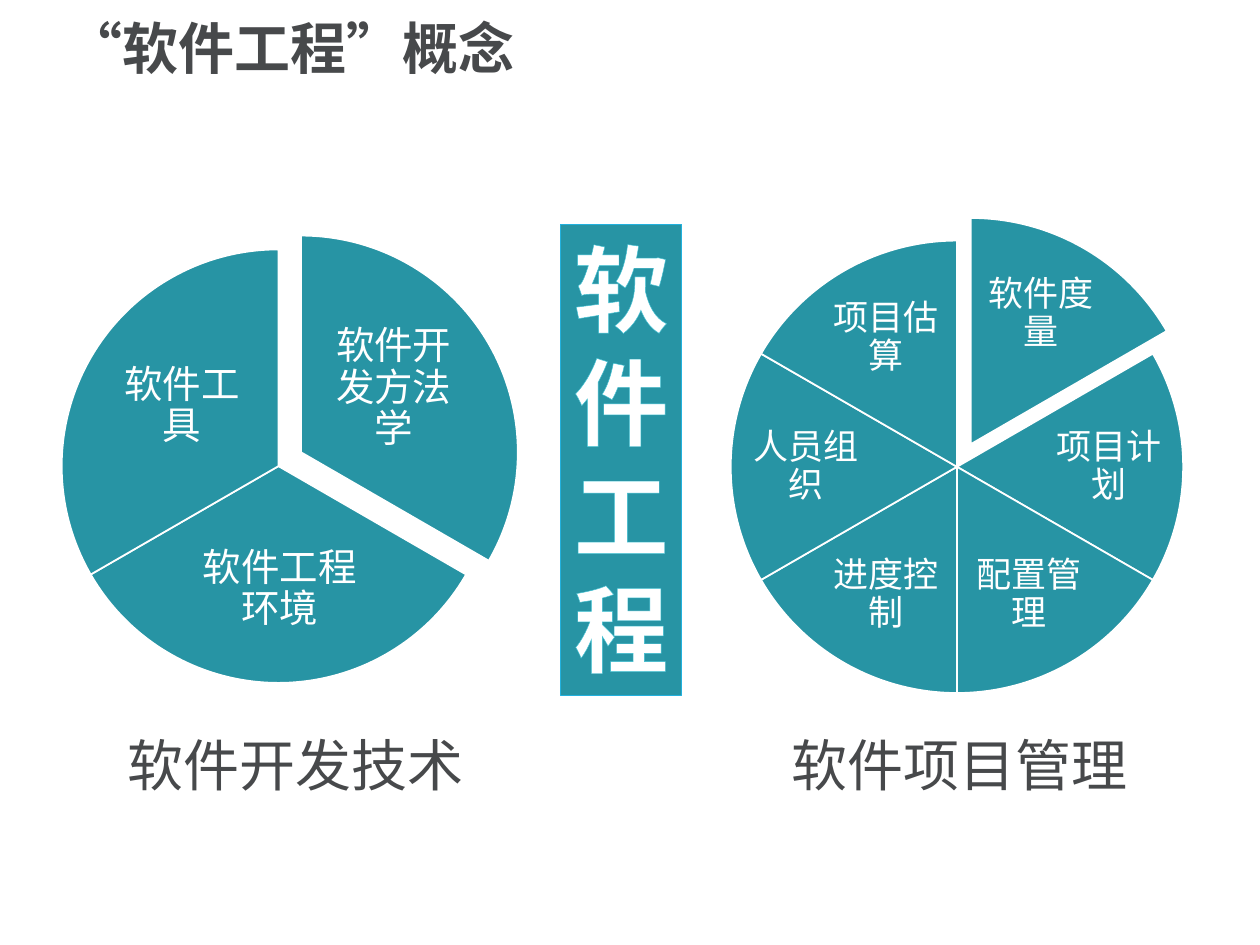
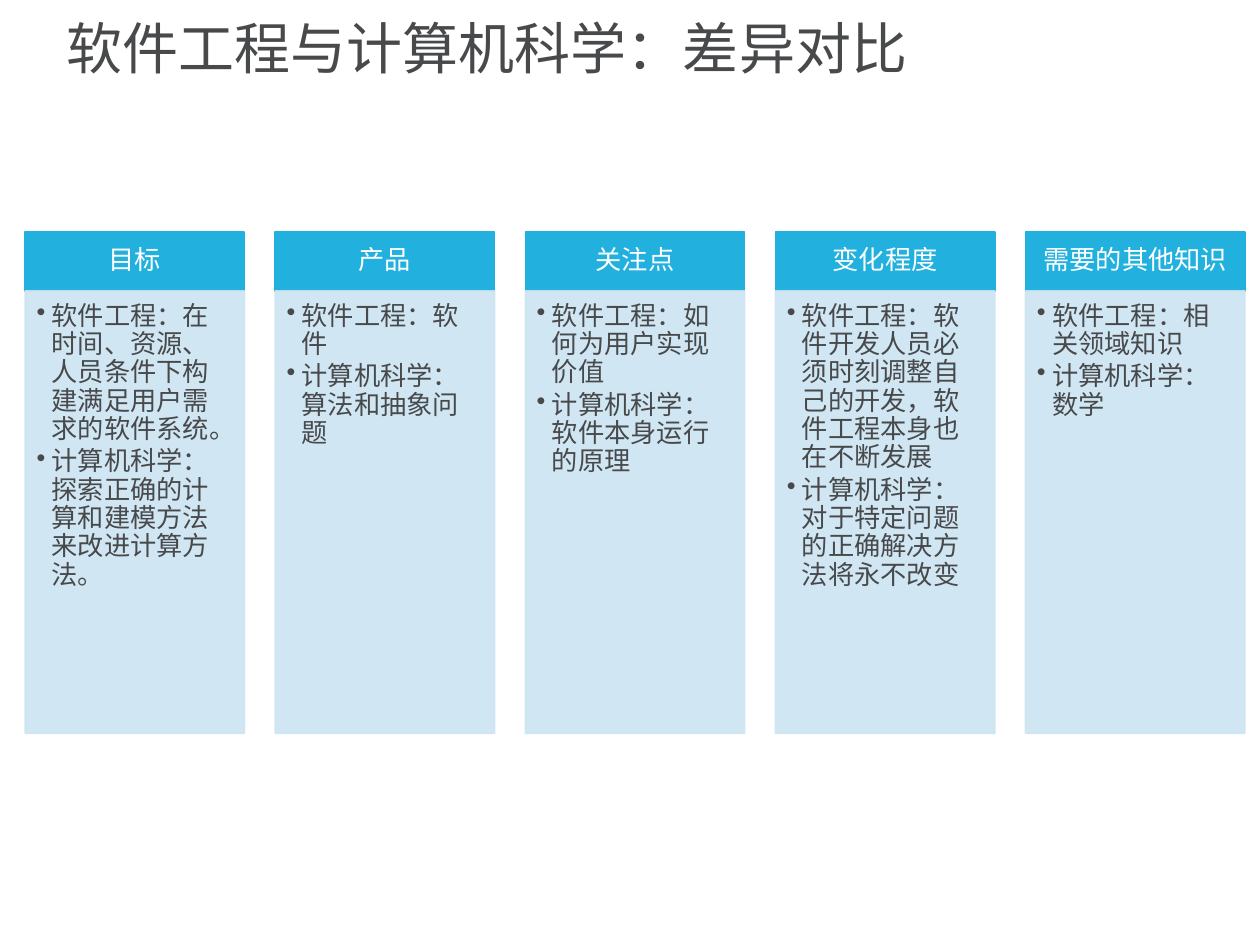
from lxml.etree import SubElement
from pptx import Presentation
from pptx.dml.color import RGBColor
from pptx.enum.shapes import MSO_SHAPE
from pptx.enum.text import MSO_ANCHOR, PP_ALIGN
from pptx.oxml.ns import qn
from pptx.util import Inches, Pt

TEAL, SKY, PALE, AQUA = "2794A4", "22B1DE", "CDE4F2", "3DBFD1"
INK, WHITE = "47494B", "FFFFFF"
HEADING_FONT, LABEL_FONT, CAPTION_FONT = "Noto Sans CJK SC", "Calibri", "DejaVu Sans"
TITLE_BOX = (0.43, 0.06, 9.05, 0.7)
DEFAULT_INSETS = (0.1, 0.05, 0.1, 0.05)
FULL_TURN, TOP_ANGLE = 216, 162

TECHNOLOGY_SLICES = [
    ("软件开发方法学", (2.05, 0.53, 1.17, 1.15)),
    ("软件工程环境", (0.95, 2.17, 1.56, 1.06)),
    ("软件工具", (0.37, 0.67, 1.17, 1.15)),
]
MANAGEMENT_SLICES = [
    ("软件度量", (1.94, 0.2, 1.05, 0.77)),
    ("项目计划", (2.46, 1.43, 1.08, 0.73)),
    ("配置管理", (1.84, 2.43, 1.05, 0.77)),
    ("进度控制", (0.71, 2.43, 1.05, 0.77)),
    ("人员组织", (0.06, 1.43, 1.08, 0.73)),
    ("项目估算", (0.71, 0.39, 1.05, 0.77)),
]
COMPARISON = [
    ("目标", ["软件工程：在时间、资源、人员条件下构建满足用户需求的软件系统。",
            "计算机科学：探索正确的计算和建模方法来改进计算方法。"]),
    ("产品", ["软件工程：软件", "计算机科学：算法和抽象问题"]),
    ("关注点", ["软件工程：如何为用户实现价值", "计算机科学：软件本身运行的原理"]),
    ("变化程度", ["软件工程：软件开发人员必须时刻调整自己的开发，软件工程本身也在不断发展",
              "计算机科学：对于特定问题的正确解决方法将永不改变"]),
    ("需要的其他知识", ["软件工程：相关领域知识", "计算机科学：数学"]),
]


def color(value):
    """Turn a hex string into a colour."""
    return RGBColor.from_string(value)


def inches(box):
    """Turn a box of plain numbers into lengths."""
    return [Inches(value) for value in box]


def apply(target, values):
    """Set each named attribute on the target."""
    for name, value in values.items():
        setattr(target, name, value)


def write(shape, lines, size, font, ink, insets=DEFAULT_INSETS, anchor=MSO_ANCHOR.TOP,
          bold=False, wrap=True, bullet=False, **paragraph_format):
    """Fill a shape with formatted paragraphs."""
    frame = shape.text_frame
    left, top, right, bottom = inches(insets)
    apply(frame, {"margin_left": left, "margin_top": top, "margin_right": right,
                  "margin_bottom": bottom, "vertical_anchor": anchor, "word_wrap": wrap})
    for index, line in enumerate(lines):
        paragraph = frame.add_paragraph() if index else frame.paragraphs[0]
        apply(paragraph, paragraph_format)
        if bullet:
            add_bullet(paragraph)
        run = paragraph.add_run()
        run.text = line
        apply(run.font, {"size": Pt(size), "name": font, "bold": bold})
        run.font.color.rgb = color(ink)
        SubElement(run.font._element, qn("a:ea"), typeface=font)


def add_bullet(paragraph):
    """Give a paragraph a round bullet and a hanging indent."""
    properties = paragraph._p.get_or_add_pPr()
    properties.set("marL", str(Inches(0.12)))
    properties.set("indent", str(-Inches(0.12)))
    SubElement(properties, qn("a:buChar"), char="•")


def add_text(slide, box, lines, size, font, ink, **options):
    """Add a text box."""
    write(slide.shapes.add_textbox(*inches(box)), lines, size, font, ink, **options)


def add_block(slide, kind, box, fill, line, line_width=1, opacity=100):
    """Add a filled and outlined shape."""
    shape = slide.shapes.add_shape(kind, *inches(box))
    shape.shadow.inherit = False
    shape.fill.solid()
    shape.fill.fore_color.rgb = color(fill)
    shape.line.color.rgb = color(line)
    shape.line.width = Pt(line_width)
    if opacity < 100:
        for element in shape._element.spPr.iter(qn("a:srgbClr")):
            SubElement(element, qn("a:alpha"), val=str(opacity * 1000))
    return shape


def add_titled_slide(presentation, title, bold=False):
    """Add a title-only slide with the shared title style."""
    slide = presentation.slides.add_slide(presentation.slide_layouts[5])
    placeholder = slide.shapes.title
    apply(placeholder, dict(zip(("left", "top", "width", "height"), inches(TITLE_BOX))))
    write(placeholder, [title], 32, HEADING_FONT, INK, anchor=MSO_ANCHOR.MIDDLE,
          bold=bold, alignment=PP_ALIGN.LEFT, line_spacing=0.9)
    return slide


def add_pie(slide, left, top, diameter, shift, slices, size):
    """Draw equal slices clockwise from the top, the first one pulled out."""
    step = FULL_TURN / len(slices)
    for index in range(len(slices)):
        across, up = (0, 0) if index else shift
        pie = add_block(slide, MSO_SHAPE.PIE, (left + across, top - up, diameter, diameter),
                        TEAL, WHITE)
        start = TOP_ANGLE + index * step
        pie.adjustments[0] = start % FULL_TURN
        pie.adjustments[1] = (start + step) % FULL_TURN
    for label, (x, y, width, height) in slices:
        add_text(slide, (left + x, top + y, width, height), [label], size, LABEL_FONT, WHITE,
                 insets=(0.03,) * 4, anchor=MSO_ANCHOR.MIDDLE,
                 alignment=PP_ALIGN.CENTER, line_spacing=0.9)


def add_banner(slide, box, text):
    """Draw the upright banner with one outlined character a line."""
    banner = add_block(slide, MSO_SHAPE.RECTANGLE, box, TEAL, SKY, 0.75)
    write(banner, text, 54, CAPTION_FONT, WHITE, bold=True, wrap=False,
          alignment=PP_ALIGN.CENTER)
    for paragraph in banner.text_frame.paragraphs:
        properties = paragraph.runs[0].font._element
        outline = SubElement(properties, qn("a:ln"), w=str(Pt(0.8)))
        SubElement(SubElement(outline, qn("a:solidFill")), qn("a:srgbClr"), val=AQUA)
        properties.insert(0, outline)


def add_column(slide, left, top, width, heading, points):
    """Draw one comparison column: a heading over a bulleted panel."""
    heading_height, panel_height = 0.47, 3.51
    header = add_block(slide, MSO_SHAPE.RECTANGLE, (left, top, width, heading_height), SKY, SKY)
    write(header, [heading], 15, HEADING_FONT, WHITE, insets=(0.12, 0.07, 0.12, 0.07),
          anchor=MSO_ANCHOR.MIDDLE, alignment=PP_ALIGN.CENTER, line_spacing=0.9)
    panel = add_block(slide, MSO_SHAPE.RECTANGLE,
                      (left, top + heading_height, width, panel_height), PALE, PALE, opacity=90)
    write(panel, points, 15, HEADING_FONT, INK, insets=(0.09, 0.09, 0.12, 0.13), bullet=True,
          alignment=PP_ALIGN.LEFT, line_spacing=0.9, space_after=Pt(2.25), level=1)


def build_concept_slide(presentation):
    """Build the slide with two pies around the banner."""
    slide = add_titled_slide(presentation, "“软件工程”概念", bold=True)
    add_pie(slide, 0.49, 1.98, 3.44, (0.18, 0.11), TECHNOLOGY_SLICES, 22)
    add_pie(slide, 5.8, 1.91, 3.59, (0.11, 0.18), MANAGEMENT_SLICES, 20)
    add_banner(slide, (4.45, 1.78, 0.96, 3.74), "软件工程")
    for left, width, caption in ((0.91, 3.15, "软件开发技术"), (6.18, 3.31, "软件项目管理")):
        add_text(slide, (left, 5.75, width, 0.64), [caption], 32, CAPTION_FONT, INK)


def build_comparison_slide(presentation):
    """Build the slide with evenly spaced comparison columns."""
    slide = add_titled_slide(presentation, "软件工程与计算机科学：差异对比")
    first_left, last_left = 0.2, 8.14
    pitch = (last_left - first_left) / (len(COMPARISON) - 1)
    for index, (heading, points) in enumerate(COMPARISON):
        add_column(slide, first_left + index * pitch, 1.84, 1.74, heading, points)


def main():
    """Build and save the presentation."""
    presentation = Presentation()
    apply(presentation, {"slide_width": Inches(10), "slide_height": Inches(7.5)})
    build_concept_slide(presentation)
    build_comparison_slide(presentation)
    presentation.save("out.pptx")


if __name__ == "__main__":
    main()
